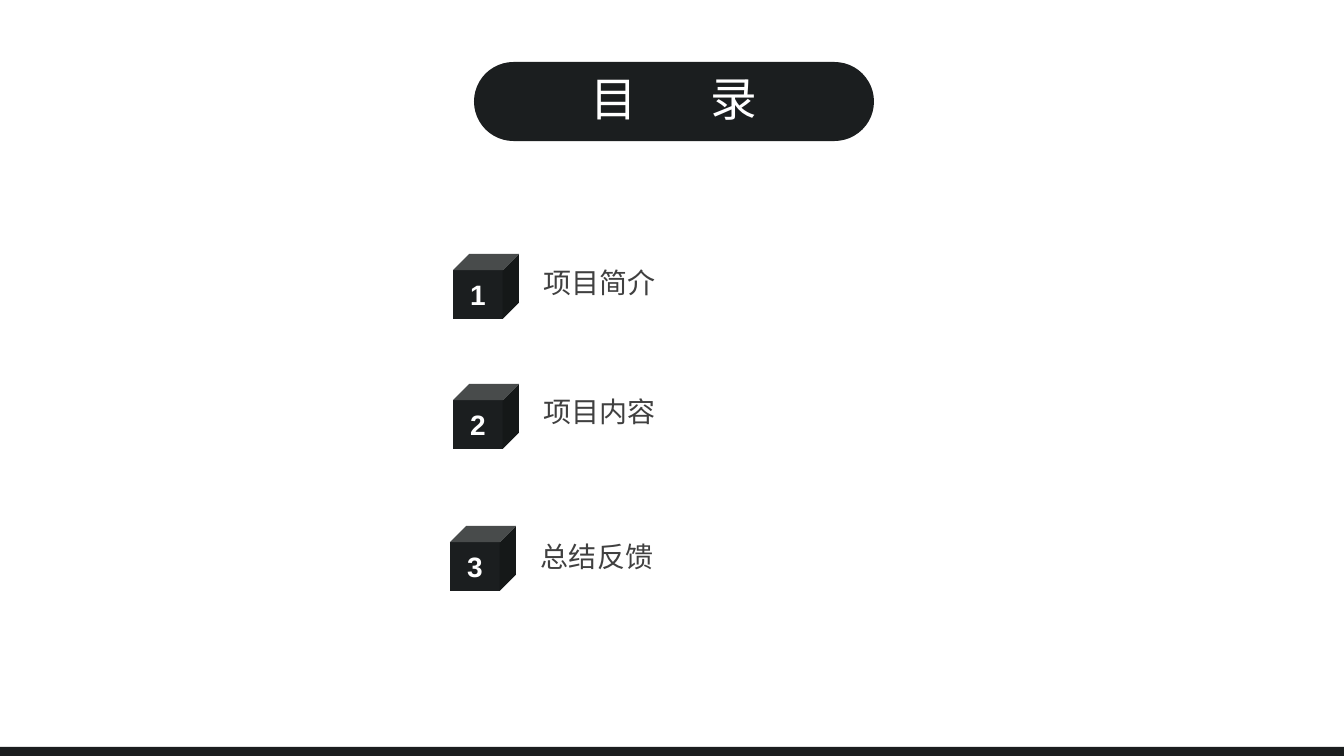
from pptx import Presentation
from pptx.dml.color import RGBColor
from pptx.enum.shapes import MSO_SHAPE
from pptx.enum.text import MSO_ANCHOR, PP_ALIGN
from pptx.oxml.ns import qn
from pptx.util import Emu, Pt
from lxml import etree

RECT, PILL, CUBE = MSO_SHAPE.RECTANGLE, MSO_SHAPE.ROUNDED_RECTANGLE, MSO_SHAPE.CUBE
MIDDLE, CENTER, LEFT = MSO_ANCHOR.MIDDLE, PP_ALIGN.CENTER, PP_ALIGN.LEFT
COLORS = {"dark": "1B1E1F", "white": "FFFFFF", "label": "404040"}
CJK_FONT = "Noto Sans CJK SC"
PX = 914400 / 100.8


def add_block(kind, *box):
    sp = s.shapes.add_shape(kind, *[Emu(round(n * PX)) for n in box])
    sp.shadow.inherit = False
    sp.fill.solid()
    sp.fill.fore_color.rgb = RGBColor.from_string(COLORS["dark"])
    sp.line.fill.background()
    return sp


def write(sp, parts, size, font, color, align):
    tf = sp.text_frame
    tf.word_wrap = True
    tf.vertical_anchor = MIDDLE
    p = tf.paragraphs[0]
    p.alignment = align
    p.font.size = Pt(size)
    p.font.name = font
    p.font.color.rgb = RGBColor.from_string(COLORS[color])
    for part in parts:
        r = p.add_run()
        r.text = part
        r.font.size = Pt(size)
        r.font.name = font
        r.font.color.rgb = RGBColor.from_string(COLORS[color])
        rPr = r.font._element if hasattr(r.font, "_element") else r._r.get_or_add_rPr()
        etree.SubElement(rPr, qn("a:ea")).set("typeface", CJK_FONT)
    return p


prs = Presentation()
prs.slide_width, prs.slide_height = Emu(round(1344 * PX)), Emu(round(756 * PX))
s = prs.slides.add_slide(prs.slide_layouts[6])

# Bottom bar
add_block(RECT, 0, 747, 1344, 9)

# Title pill
sp = add_block(PILL, 474, 62, 400, 79)
sp.adjustments[0] = 0.5
sp.text_frame.margin_top = sp.text_frame.margin_bottom = 0
p = write(sp, ["目", " ", "录"], 33.3, CJK_FONT, "white", CENTER)
p.line_spacing = 0.9
# The single space is widened to spread the two characters
p.runs[1]._r.get_or_add_rPr().set("spc", "4450")

# Contents: cube position, label position, label
items = [
    (453, 254, 543, 248, "项目简介"),
    (453, 384, 543, 377, "项目内容"),
    (450, 526, 541, 522, "总结反馈"),
]
for number, (cube_x, cube_y, label_x, label_y, label) in enumerate(items, 1):
    cube = add_block(CUBE, cube_x, cube_y, 66, 65)
    p = write(cube, [str(number)], 20, "Arial", "white", CENTER)
    p.runs[0].font.bold = True

    box = [Emu(round(n * PX)) for n in (label_x, label_y, 353, 72)]
    tb = s.shapes.add_textbox(*box)
    tf = tb.text_frame
    tf.margin_left = tf.margin_right = tf.margin_top = tf.margin_bottom = 0
    p = write(tb, [label], 20, "Arial", "label", LEFT)
    p.line_spacing = 0.9

prs.save("out.pptx")
